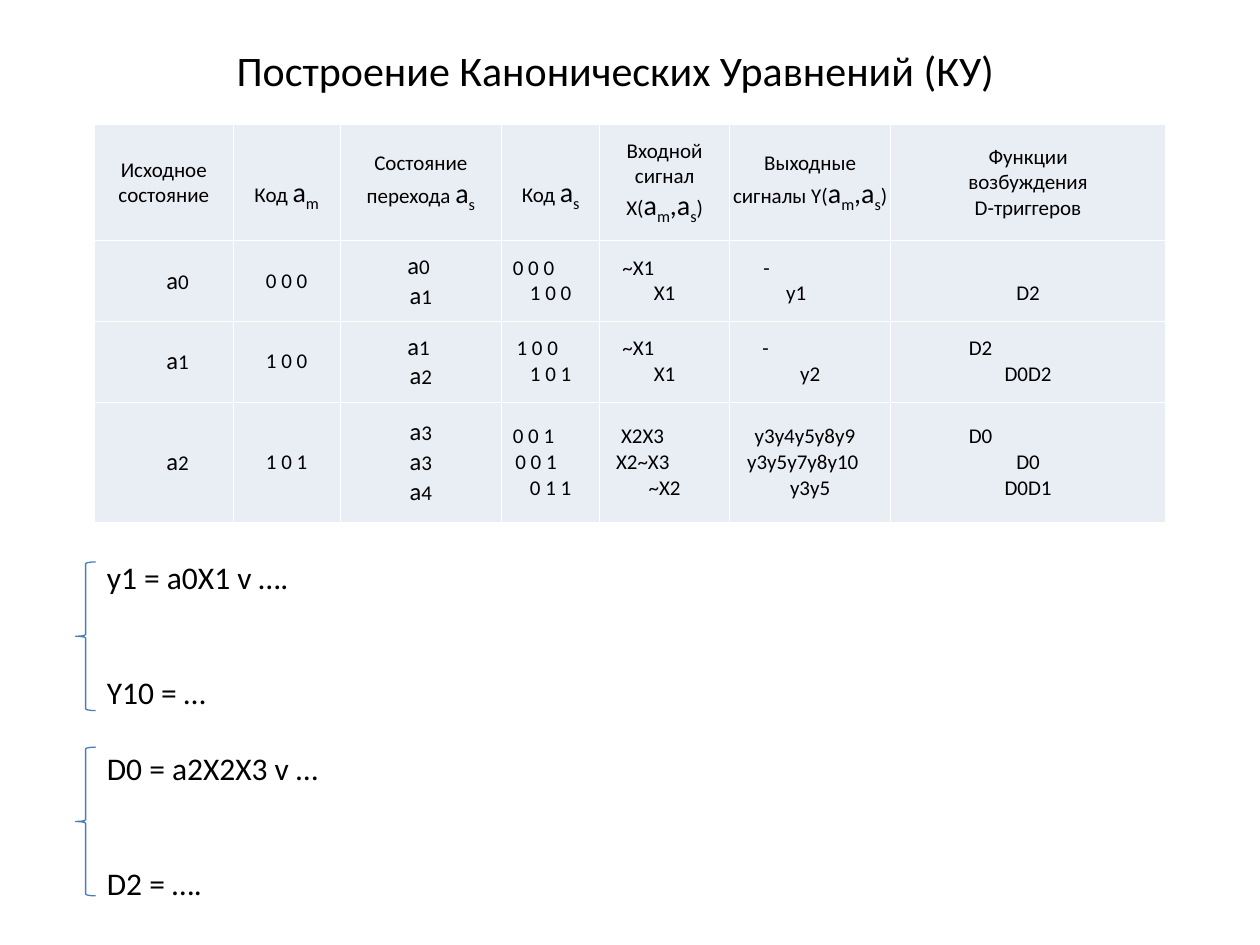
from pptx import Presentation
from pptx.dml.color import RGBColor
from pptx.enum.shapes import MSO_SHAPE
from pptx.enum.text import MSO_ANCHOR, PP_ALIGN
from pptx.oxml import parse_xml
from pptx.oxml.ns import nsdecls
from pptx.util import Emu, Inches, Pt

LEFT, CENTER = PP_ALIGN.LEFT, PP_ALIGN.CENTER
TOP, MIDDLE = MSO_ANCHOR.TOP, MSO_ANCHOR.MIDDLE
BLACK = RGBColor(0x00, 0x00, 0x00)
CELL_FILL = RGBColor(0xE9, 0xED, 0xF4)
BRACE_BLUE = RGBColor(0x4A, 0x7E, 0xBB)
FONT = "Calibri"
SUBSCRIPT = -25000
CELL_SIZE, LINE_HEIGHT = 12, 0.2

TITLE = "Построение Канонических Уравнений (КУ)"


def state(number, letter="a"):
    return [(letter, 14), number]


A, SUB_M, SUB_S = ("a", 16), ("m", 16, SUBSCRIPT), ("s", 16, SUBSCRIPT)
PAIR = [A, SUB_M, (",a", 16), SUB_S, ")"]

# A cell is a list of lines. A line is a string or a list of runs (centred),
# or a tuple of a left indent in inches and either of these.
ROWS = [
    [["Исходное состояние"], [["Код ", A, SUB_M]],
     [["Состояние перехода ", A, SUB_S]], [["Код ", A, SUB_S]],
     [["Входной сигнал X(", *PAIR]], [["Выходные сигналы Y(", *PAIR]],
     ["Функции", "возбуждения", "D-триггеров"]],
    [[(0.55, state("0"))], ["0 0 0"], [state("0 "), state("1")],
     [(0.07, "0 0 0"), "1 0 0"], [(0.16, "~X1"), "X1"],
     [(0.25, "-"), (0.43, "y1")], ["D2"]],
    [[(0.55, state("1"))], ["1 0 0"], [state("1 "), state("2")],
     [(0.10, "1 0 0"), "1 0 1"], [(0.16, "~X1"), "X1"],
     [(0.24, "-"), "y2"], [(0.60, "D2"), "D0D2"]],
    [[(0.55, state("2"))], ["1 0 1"],
     [state("3", "а"), state("3", "а"), state("4")],
     [(0.07, "0 0 1"), (0.09, "0 0 1"), "0 1 1"],
     [(0.15, "X2X3"), (0.11, "X2~X3"), "~X2"],
     [(0.18, "y3y4y5y8y9"), (0.12, "y3y5y7y8y10"), "y3y5"],
     [(0.60, "D0"), "D0", "D0D1"]],
]
COLUMN_WIDTHS = [1.1, 0.85, 1.28, 0.78, 1.03, 1.28, 2.18]
ROW_HEIGHTS = [0.92, 0.64, 0.64, 0.96]
LOWERED_CELLS = {(0, 1), (0, 3), (1, 6)}  # text sits one line lower

EQUATIONS = [  # text, space before in points
    ("y1 = a0X1 v ….", 0),
    ("Y10 = …", 44),
    ("D0 = a2X2X3 v …", 22),
    ("D2 = ….", 44),
]
BRACE_TOPS = [4.46, 5.93]


def write_line(para, runs, size, align=LEFT, indent=0, before=0):
    """Fill a paragraph with runs: strings or (text, size, baseline) tuples."""
    if indent:
        properties = para._p.get_or_add_pPr()
        properties.set("marL", str(Inches(indent)))
        properties.set("indent", "0")
    para.alignment = align
    para.space_before = Pt(before)
    for run in [runs] if isinstance(runs, str) else runs:
        text, run_size, baseline = (
            (run, size, 0) if isinstance(run, str) else (*run, 0)[:3])
        span = para.add_run()
        span.text = text
        span.font.name = FONT
        span.font.size = Pt(run_size)
        span.font.color.rgb = BLACK
        if baseline:
            span.font._element.set("baseline", str(baseline))


def next_para(frame, index):
    return frame.paragraphs[0] if index == 0 else frame.add_paragraph()


def set_borders(cell):
    properties = cell._tc.get_or_add_tcPr()
    for position, side in enumerate(("lnL", "lnR", "lnT", "lnB")):
        properties.insert(position, parse_xml(
            f'<a:{side} {nsdecls("a")} w="{Pt(0.45)}"><a:solidFill>'
            f'<a:srgbClr val="FFFFFF"/></a:solidFill></a:{side}>'))


def fill_cell(cell, lines, lowered):
    cell.fill.solid()
    cell.fill.fore_color.rgb = CELL_FILL
    set_borders(cell)
    cell.vertical_anchor = MIDDLE
    cell.margin_left = cell.margin_right = Inches(0.02)
    cell.margin_bottom = Inches(0.05)
    cell.margin_top = Inches(0.05 + LINE_HEIGHT * lowered)
    for index, line in enumerate(lines):
        para = next_para(cell.text_frame, index)
        if isinstance(line, tuple):
            write_line(para, line[1], CELL_SIZE, indent=line[0])
        else:
            write_line(para, line, CELL_SIZE, align=CENTER)


def add_transition_table(page):
    frame = page.shapes.add_table(
        len(ROWS), len(COLUMN_WIDTHS), Inches(0.75), Inches(0.99),
        Inches(sum(COLUMN_WIDTHS)), Inches(sum(ROW_HEIGHTS)))
    table = frame.table
    table.first_row = table.horz_banding = False
    for column, width in zip(table.columns, COLUMN_WIDTHS):
        column.width = Inches(width)
    for row, height in zip(table.rows, ROW_HEIGHTS):
        row.height = Inches(height)
    for r, cells in enumerate(ROWS):
        for c, lines in enumerate(cells):
            fill_cell(table.cell(r, c), lines, (r, c) in LOWERED_CELLS)


def add_equations(page):
    box = page.shapes.add_textbox(
        Inches(0.75), Inches(4.38), Inches(8.43), Inches(2.8))
    frame = box.text_frame
    frame.word_wrap = True
    frame.vertical_anchor = TOP
    for index, (text, before) in enumerate(EQUATIONS):
        write_line(next_para(frame, index), text, 18, before=before)


def add_brace(page, top):
    brace = page.shapes.add_shape(
        MSO_SHAPE.LEFT_BRACE, Inches(0.6), Inches(top),
        Inches(0.16), Inches(1.18))
    brace.shadow.inherit = False
    brace.fill.background()
    brace.line.color.rgb = BRACE_BLUE
    brace.line.width = Pt(0.75)


def main():
    deck = Presentation()
    deck.slide_width, deck.slide_height = Inches(10), Inches(7.5)
    page = deck.slides.add_slide(deck.slide_layouts.get_by_name("Title Only"))
    title = page.shapes.title
    title.left, title.top, title.width, title.height = (
        Emu(Inches(length)) for length in (0.67, 0.28, 8.43, 0.54))
    title.text_frame.vertical_anchor = MIDDLE
    write_line(title.text_frame.paragraphs[0], TITLE, 24, align=CENTER)
    add_transition_table(page)
    add_equations(page)
    for top in BRACE_TOPS:
        add_brace(page, top)
    deck.save("out.pptx")


if __name__ == "__main__":
    main()
